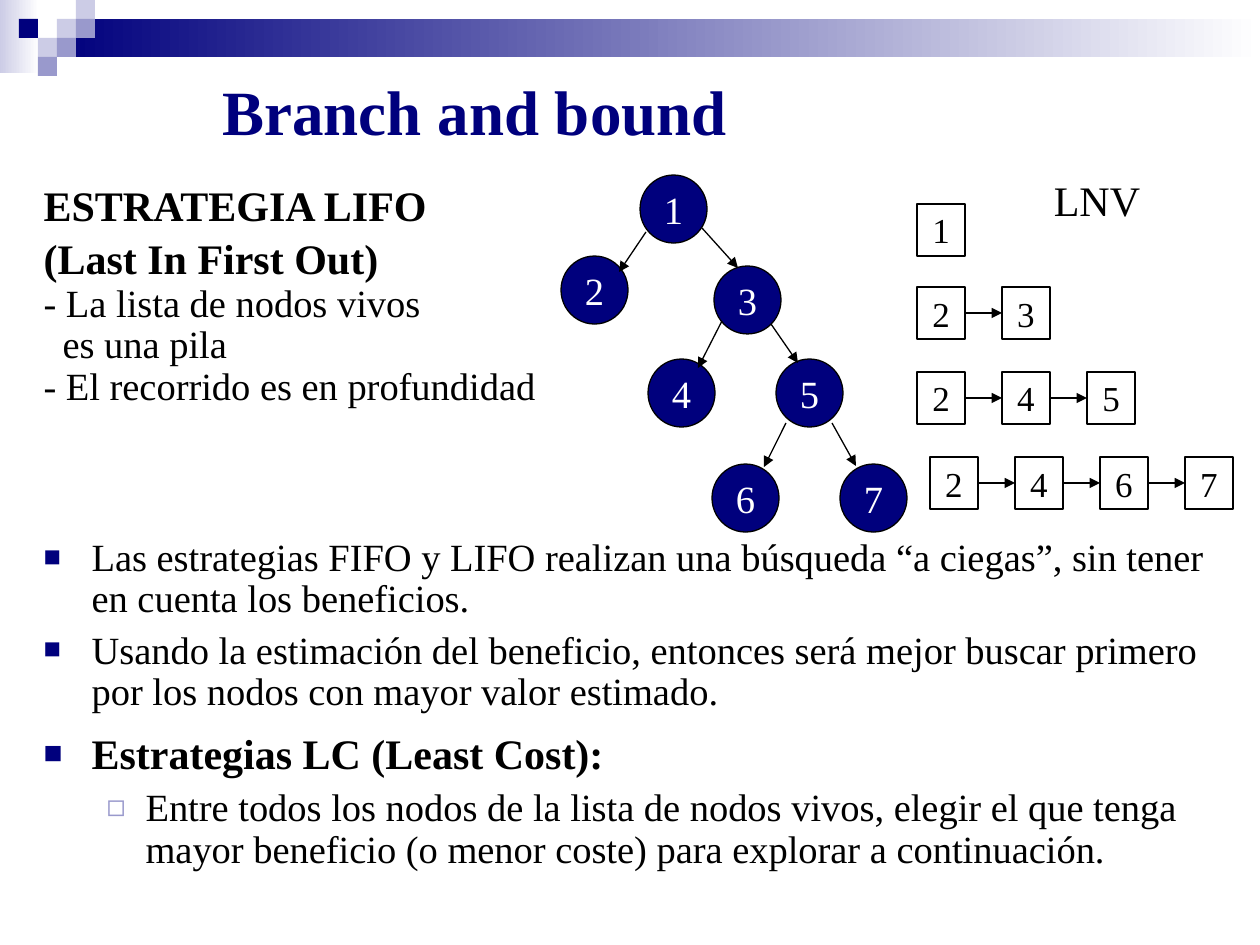
import pptx
import pptx.util
import pptx.dml.color
import pptx.enum.shapes
import pptx.enum.text
import pptx.oxml
import pptx.oxml.ns
from lxml import etree

RGB = pptx.dml.color.RGBColor
SHAPE = pptx.enum.shapes.MSO_SHAPE
ALIGN = pptx.enum.text.PP_ALIGN
ANCHOR = pptx.enum.text.MSO_ANCHOR

NAVY = RGB(0x00, 0x00, 0x7D)
LILAC = RGB(0x99, 0x99, 0xCC)
PALE = RGB(0xCC, 0xCC, 0xE6)
WHITE = RGB(0xFF, 0xFF, 0xFF)
BLACK = RGB(0x00, 0x00, 0x00)
FONT = "Times New Roman"

# Content
TITLE = "Branch and bound"
SQUARE, CIRCLE = ("■", NAVY, 75), ("◻", LILAC, 80)
# text, size, bold, space before (pt), left margin, first-line indent (px), bullet
BODY = [
    ("ESTRATEGIA LIFO", 24, True, 4.5, 48, -48, None),
    ("(Last In First Out)", 24, True, 4.5, 48, -48, None),
    ("- La lista de nodos vivos", 22, False, 0, 48, -48, None),
    ("es una pila", 22, False, 0, 48, -29, None),
    ("- El recorrido es en profundidad", 22, False, 0, 48, -48, None),
    ("Las estrategias FIFO y LIFO realizan una búsqueda “a ciegas”, sin tener "
     "en cuenta los beneficios.", 22, False, 74, 48, -48, SQUARE),
    ("Usando la estimación del beneficio, entonces será mejor buscar primero "
     "por los nodos con mayor valor estimado.", 22, False, 5.5, 48, -48, SQUARE),
    ("Estrategias LC (Least Cost):", 24, True, 11, 48, -48, SQUARE),
    ("Entre todos los nodos de la lista de nodos vivos, elegir el que tenga "
     "mayor beneficio (o menor coste) para explorar a continuación.",
     22, False, 5.5, 102, -39, CIRCLE),
]
NODES = {"1": (640, 175), "2": (561, 256), "3": (714, 266), "4": (648, 359),
         "5": (776, 359), "6": (712, 464), "7": (840, 464)}
EDGES = [(646, 232, 619, 272), (702, 228, 738, 268), (722, 321, 698, 368),
         (771, 324, 798, 363), (786, 423, 764, 467), (832, 423, 856, 466)]
LIVE_LISTS = [(917, 204, "1"), (917, 287, "23"), (917, 372, "245"), (930, 457, "2467")]
LIST_PITCH = 85
BARS = [(0, 0, 39, 73, PALE), (57, 19, 1203, 38, NAVY)]
TILE = 19
TILES = [(3, 1, PALE), (4, 0, PALE), (4, 1, LILAC), (2, 2, PALE),
         (1, 1, NAVY), (3, 2, LILAC), (2, 3, LILAC)]


def px(count):
    return pptx.util.Emu(round(count * 914400 / 126))


def add_span(para, text, size, color, bold=False):
    span = para.add_run()
    span.text = text
    span.font.name = FONT
    span.font.size = pptx.util.Pt(size)
    span.font.bold = bold
    span.font.color.rgb = color


def place(holder, left, top, width, height):
    holder.left, holder.top = px(left), px(top)
    holder.width, holder.height = px(width), px(height)


def set_bullet(para, bullet):
    props = para._p.get_or_add_pPr()
    if bullet is None:
        etree.SubElement(props, pptx.oxml.ns.qn("a:buNone"))
        return
    char, color, percent = bullet
    clr = etree.SubElement(props, pptx.oxml.ns.qn("a:buClr"))
    etree.SubElement(clr, pptx.oxml.ns.qn("a:srgbClr"), val=str(color))
    etree.SubElement(props, pptx.oxml.ns.qn("a:buSzPct"), val=str(percent * 1000))
    etree.SubElement(props, pptx.oxml.ns.qn("a:buFont"), typeface=FONT)
    etree.SubElement(props, pptx.oxml.ns.qn("a:buChar"), char=char)


def add_box(page, kind, left, top, width, height, fill=None, outlined=False):
    box = page.shapes.add_shape(kind, px(left), px(top), px(width), px(height))
    box.shadow.inherit = False
    if fill is not None:
        box.fill.solid()
        box.fill.fore_color.rgb = fill
    if outlined:
        box.line.color.rgb = BLACK
        box.line.width = pptx.util.Pt(0.75)
    else:
        box.line.fill.background()
    return box


def add_label(box, text, size, color):
    frame = box.text_frame
    frame.word_wrap = False
    frame.vertical_anchor = ANCHOR.MIDDLE
    para = frame.paragraphs[0]
    para.alignment = ALIGN.CENTER
    add_span(para, text, size, color)


def add_arrow(page, x1, y1, x2, y2):
    arrow = page.shapes.add_connector(
        pptx.enum.shapes.MSO_CONNECTOR.STRAIGHT, px(x1), px(y1), px(x2), px(y2))
    arrow.line.color.rgb = BLACK
    arrow.line.width = pptx.util.Pt(0.75)
    etree.SubElement(arrow.line._get_or_add_ln(), pptx.oxml.ns.qn("a:tailEnd"),
                     type="triangle")
    etree.SubElement(arrow._element.spPr, pptx.oxml.ns.qn("a:effectLst"))
    return arrow


def add_header_band(page):
    for left, top, width, height, color in BARS:
        bar = add_box(page, SHAPE.RECTANGLE, left, top, width, height)
        bar.fill.gradient()
        bar.fill.gradient_angle = 0
        for stop, shade in zip(bar.fill.gradient_stops, (color, WHITE)):
            stop.color.rgb = shade
    for column, row, color in TILES:
        add_box(page, SHAPE.RECTANGLE, column * TILE, row * TILE, TILE, TILE, color)


def fill_text(page):
    title = page.shapes.title
    place(title, 210, 31, 892, 158)
    title.text_frame.vertical_anchor = ANCHOR.MIDDLE
    para = title.text_frame.paragraphs[0]
    para.alignment = ALIGN.LEFT
    add_span(para, TITLE, 36, NAVY, True)

    body = page.placeholders[1]
    place(body, 31, 179, 1197, 703)
    frame = body.text_frame
    frame.auto_size = pptx.enum.text.MSO_AUTO_SIZE.NONE
    for index, (text, size, bold, before, margin, indent, bullet) in enumerate(BODY):
        para = frame.add_paragraph() if index else frame.paragraphs[0]
        para.level = 1 if bullet is CIRCLE else 0
        para.line_spacing = 0.9
        para.space_before = pptx.util.Pt(before)
        props = para._p.get_or_add_pPr()
        props.set("marL", str(px(margin)))
        props.set("indent", str(px(indent)))
        set_bullet(para, bullet)
        add_span(para, text, size, BLACK, bold)


def add_tree(page):
    for name, (left, top) in NODES.items():
        node = add_box(page, SHAPE.OVAL, left, top, 67, 68, NAVY, True)
        add_label(node, name, 22, WHITE)
    for edge in EDGES:
        add_arrow(page, *edge)


def add_live_lists(page):
    for left, top, names in LIVE_LISTS:
        cells = []
        for index, name in enumerate(names):
            cell = add_box(page, SHAPE.RECTANGLE, left + index * LIST_PITCH, top,
                           48, 52, WHITE, True)
            add_label(cell, name, 20, BLACK)
            cells.append(cell)
        for start, end in zip(cells, cells[1:]):
            arrow = add_arrow(page, 0, 0, 0, 0)
            arrow.begin_connect(start, 3)
            arrow.end_connect(end, 1)
    heading = add_box(page, SHAPE.RECTANGLE, 1039, 168, 116, 63, WHITE)
    add_label(heading, "LNV", 24, BLACK)


def main():
    deck = pptx.Presentation()
    deck.slide_width, deck.slide_height = px(1260), px(945)
    page = deck.slides.add_slide(deck.slide_layouts[1])
    add_header_band(page)
    fill_text(page)
    add_tree(page)
    add_live_lists(page)
    deck.save("out.pptx")


if __name__ == "__main__":
    main()
